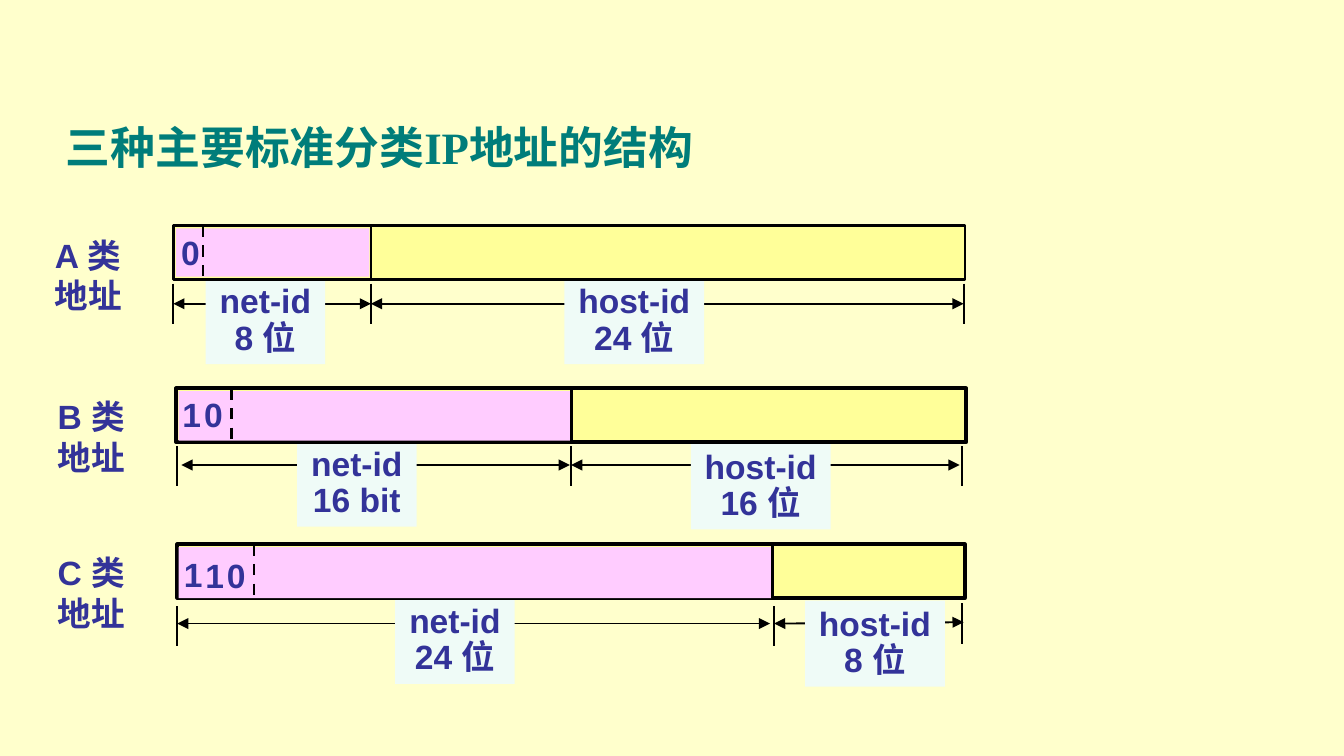
from dataclasses import dataclass
from typing import NamedTuple

from lxml import etree
from pptx import Presentation
from pptx import util as u
from pptx.dml.color import RGBColor
from pptx.enum import dml, shapes, text
from pptx.oxml.ns import qn

COLORS = {
    "background": "FFFFCC",
    "title": "007D7A",
    "ink": "333399",
    "label": "EFFBF7",
    "host": "FFFF99",
    "net": "FFCCFF",
    "line": "000000",
}


class Box(NamedTuple):
    left: float
    top: float
    width: float
    height: float


class Mark(NamedTuple):
    caption: str
    left: float
    top: float


class Span(NamedTuple):
    start: float
    end: float
    start_y: float
    end_y: float


@dataclass
class AddressClass:
    heading: Mark
    bar: Box
    outline: float
    net: Box
    prefix: list[Mark]
    prefix_end: float
    divider: float
    spans: list[Span]
    net_label: Mark
    host_label: Mark
    ticks: list[tuple[float, float]]


ADDRESS_CLASSES = [
    AddressClass(
        Mark("A 类", 0.31, 1.7), Box(1.29, 1.68, 5.89, 0.4), 1.5, Box(1.31, 1.7, 1.44, 0.36),
        [Mark("0", 1.25, 1.68)], 1.51, 2.76,
        [Span(1.29, 2.76, 2.26, 2.26), Span(2.76, 7.17, 2.26, 2.26)],
        Mark("8 位", 1.53, 2.07), Mark("24 位", 4.2, 2.07),
        [(1.29, 2.11), (2.76, 2.11), (7.17, 2.11)],
    ),
    AddressClass(
        Mark("B 类", 0.33, 2.9), Box(1.31, 2.89, 5.88, 0.4), 2, Box(1.33, 2.91, 2.92, 0.37),
        [Mark("1", 1.26, 2.88), Mark("0", 1.42, 2.88)], 1.72, 4.25,
        [Span(1.35, 4.24, 3.46, 3.46), Span(4.25, 7.14, 3.46, 3.46)],
        Mark("16 bit", 2.21, 3.28), Mark("16 位", 5.14, 3.3),
        [(1.32, 3.32), (4.25, 3.32), (7.16, 3.32)],
    ),
    AddressClass(
        Mark("C 类", 0.33, 4.06), Box(1.32, 4.05, 5.86, 0.4), 2, Box(1.33, 4.07, 4.41, 0.38),
        [Mark("1", 1.27, 4.07), Mark("1", 1.43, 4.08), Mark("0", 1.59, 4.08)], 1.89, 5.75,
        [Span(1.32, 5.73, 4.64, 4.64), Span(5.76, 7.17, 4.64, 4.63)],
        Mark("24 位", 2.94, 4.45), Mark("8 位", 5.99, 4.47),
        [(1.32, 4.51), (5.76, 4.51), (7.16, 4.49)],
    ),
]


def rgb(name: str) -> RGBColor:
    return RGBColor.from_string(COLORS[name])


def inches(*lengths: float) -> list[u.Length]:
    return [u.Inches(length) for length in lengths]


def write(frame, *lines: str, size=18, font="Arial", color="ink",
          align=text.PP_ALIGN.LEFT, anchor=text.MSO_ANCHOR.TOP, spacing=1.0, wrap=False) -> None:
    frame.word_wrap = wrap
    frame.vertical_anchor = anchor
    frame.margin_left = frame.margin_right = u.Inches(0.1)
    frame.margin_top = frame.margin_bottom = u.Inches(0.05)
    frame.text = "\n".join(lines)
    for paragraph in frame.paragraphs:
        paragraph.alignment = align
        paragraph.line_spacing = spacing
        for run in paragraph.runs:
            run.font.size = u.Pt(size)
            run.font.name = font
            run.font.bold = True
            run.font.color.rgb = rgb(color)


def draw_text(slide, box: Box, *lines: str, **style) -> None:
    write(slide.shapes.add_textbox(*inches(*box)).text_frame, *lines, **style)


def draw_block(slide, box: Box, fill: str, outline: float = 0):
    block = slide.shapes.add_shape(shapes.MSO_SHAPE.RECTANGLE, *inches(*box))
    block.shadow.inherit = False
    block.fill.solid()
    block.fill.fore_color.rgb = rgb(fill)
    if outline:
        block.line.color.rgb = rgb("line")
        block.line.width = u.Pt(outline)
    else:
        block.line.fill.background()
    return block


def draw_line(slide, span: Span, width: float, dashed=False, arrows=False) -> None:
    rule = slide.shapes.add_connector(
        shapes.MSO_CONNECTOR.STRAIGHT,
        *inches(span.start, span.start_y, span.end, span.end_y))
    rule.line.color.rgb = rgb("line")
    rule.line.width = u.Pt(width)
    if dashed:
        rule.line.dash_style = dml.MSO_LINE.DASH
    if arrows:
        for end in ("a:headEnd", "a:tailEnd"):
            etree.SubElement(rule.line._get_or_add_ln(), qn(end), type="triangle")
    etree.SubElement(rule._element.spPr, qn("a:effectLst"))


def draw_upright(slide, x: float, top: float, height: float, width: float, dashed=False) -> None:
    draw_line(slide, Span(x, x, top, top + height), width, dashed=dashed)


def draw_label(slide, part: str, mark: Mark, width: float) -> None:
    label = draw_block(slide, Box(mark.left, mark.top, width, 0.64), "label")
    write(label.text_frame, part, mark.caption, align=text.PP_ALIGN.CENTER, spacing=0.9)


def draw_address_class(slide, row: AddressClass) -> None:
    for span in row.spans:
        draw_line(slide, span, 1, arrows=True)
    draw_label(slide, "net-id", row.net_label, 0.89)
    draw_label(slide, "host-id", row.host_label, 1.04)
    draw_block(slide, row.bar, "host", row.outline)
    draw_block(slide, row.net, "net")
    for digit in row.prefix:
        draw_text(slide, Box(digit.left, digit.top, 0.34, 0.4), digit.caption)
    draw_upright(slide, row.prefix_end, row.bar.top, row.bar.height, 1.5, dashed=True)
    draw_upright(slide, row.divider, row.bar.top, row.bar.height, 1.5)
    for x, top in row.ticks:
        draw_upright(slide, x, top, 0.3, 1)
    heading = row.heading
    draw_text(slide, Box(heading.left, heading.top, 0.71, 0.7), heading.caption, "地址", wrap=True)


def main() -> None:
    deck = Presentation()
    deck.slide_width = u.Inches(10)
    deck.slide_height = u.Inches(10 * 9 / 16)
    slide = deck.slides.add_slide(deck.slide_layouts[5])
    slide.background.fill.solid()
    slide.background.fill.fore_color.rgb = rgb("background")

    title = slide.shapes.title
    title.left, title.top, title.width, title.height = inches(0.39, 0.62, 7.03, 0.94)
    write(title.text_frame, "三种主要标准分类IP地址的结构", size=24, font="Times New Roman",
          color="title", anchor=text.MSO_ANCHOR.MIDDLE, wrap=True)

    for row in ADDRESS_CLASSES:
        draw_address_class(slide, row)
    deck.save("out.pptx")


if __name__ == "__main__":
    main()
